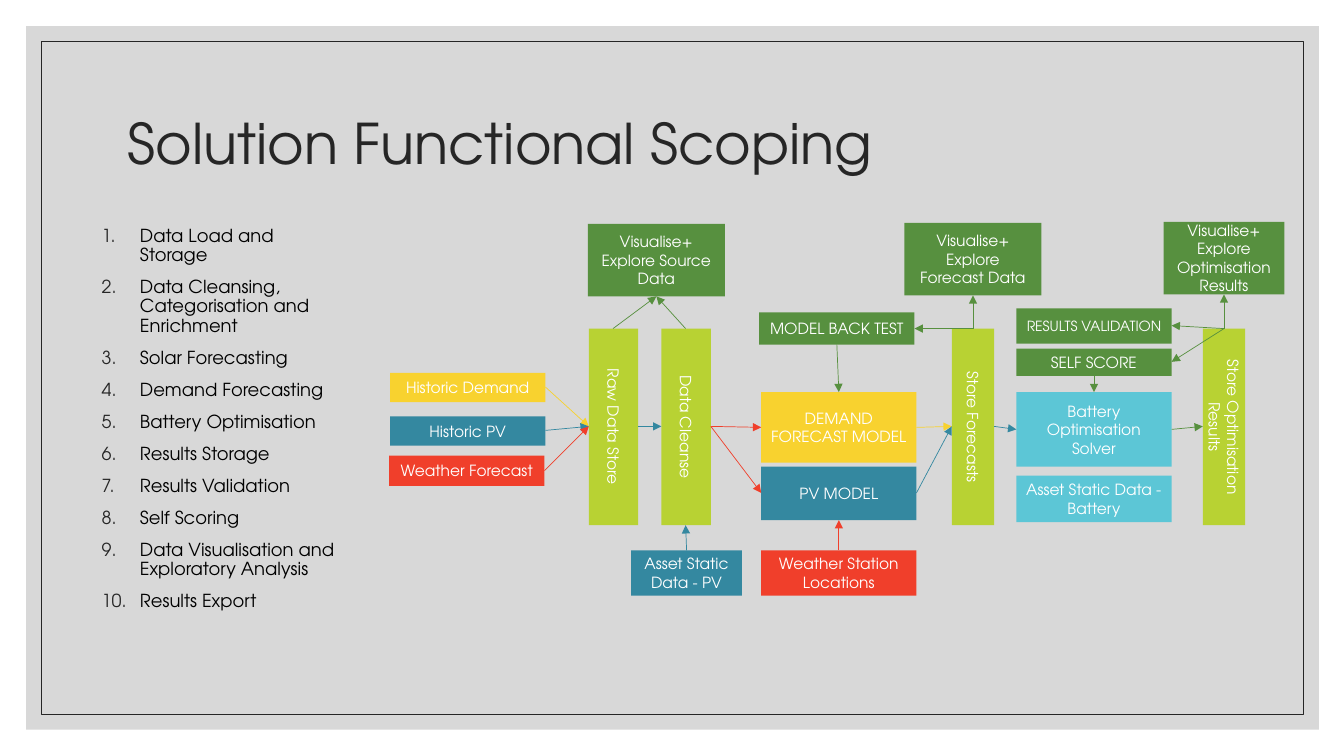
from dataclasses import dataclass
from enum import IntEnum

from lxml.etree import SubElement
from pptx import Presentation
from pptx.dml.color import RGBColor
from pptx.enum.shapes import MSO_CONNECTOR, MSO_SHAPE
from pptx.enum.text import MSO_ANCHOR, PP_ALIGN
from pptx.oxml.ns import qn
from pptx.util import Emu, Pt

EMU_PER_PX = 9144  # 100 px to the inch
FONT = "TeX Gyre Adventor"

WHITE = RGBColor(0xFF, 0xFF, 0xFF)
BLACK = RGBColor(0x00, 0x00, 0x00)
INK = RGBColor(0x26, 0x26, 0x26)
GREY = RGBColor(0xBF, 0xBF, 0xBF)
YELLOW = RGBColor(0xF8, 0xD2, 0x2F)
BLUE = RGBColor(0x34, 0x88, 0xA0)
RED = RGBColor(0xF0, 0x3F, 0x2B)
CYAN = RGBColor(0x5C, 0xC6, 0xD6)
LIME = RGBColor(0xB8, 0xD2, 0x33)
GREEN = RGBColor(0x57, 0x90, 0x3F)


class Side(IntEnum):
    """Connection sites of a rectangle, counted anticlockwise."""
    TOP = 0
    LEFT = 1
    BOTTOM = 2
    RIGHT = 3


@dataclass(frozen=True)
class Block:
    """A labelled box as it is seen; an upright one has its text turned by 90 degrees."""
    label: str
    left: int
    top: int
    width: int
    height: int
    color: RGBColor
    upright: bool = False
    size: int = 11

    def point(self, side: Side) -> tuple[int, int]:
        middle_x = self.left + self.width // 2
        middle_y = self.top + self.height // 2
        return {
            Side.TOP: (middle_x, self.top),
            Side.LEFT: (self.left, middle_y),
            Side.BOTTOM: (middle_x, self.top + self.height),
            Side.RIGHT: (self.left + self.width, middle_y),
        }[side]

    def site(self, side: Side) -> int:
        return (side + 1) % 4 if self.upright else int(side)


@dataclass(frozen=True)
class Flow:
    source: Block
    source_side: Side
    target: Block
    target_side: Side
    color: RGBColor


SCOPE = (
    "Data Load and Storage",
    "Data Cleansing, Categorisation and Enrichment",
    "Solar Forecasting",
    "Demand Forecasting",
    "Battery Optimisation",
    "Results Storage",
    "Results Validation",
    "Self Scoring",
    "Data Visualisation and Exploratory Analysis",
    "Results Export",
)

HISTORIC_DEMAND = Block("Historic Demand", 387, 370, 154, 29, YELLOW)
HISTORIC_PV = Block("Historic PV", 387, 413, 154, 29, BLUE)
WEATHER = Block("Weather Forecast", 386, 452, 154, 30, RED)
RAW_STORE = Block("Raw Data Store", 584, 326, 49, 195, LIME, upright=True)
CLEANSE = Block("Data Cleanse", 656, 326, 49, 195, LIME, upright=True)
PV_ASSETS = Block("Asset Static Data - PV", 626, 546, 110, 45, BLUE)
VIEW_SOURCE = Block("Visualise+ Explore Source Data", 583, 222, 136, 72, GREEN)
BACK_TEST = Block("MODEL BACK TEST", 753, 310, 154, 32, GREEN)
DEMAND_MODEL = Block("DEMAND FORECAST MODEL", 755, 389, 154, 70, YELLOW)
PV_MODEL = Block("PV MODEL", 755, 463, 154, 53, BLUE)
STATIONS = Block("Weather Station Locations", 755, 546, 154, 45, RED)
FORECASTS = Block("Store Forecasts", 944, 326, 42, 195, LIME, upright=True)
VIEW_FORECAST = Block("Visualise+ Explore Forecast Data", 897, 221, 136, 72, GREEN)
VALIDATION = Block("RESULTS VALIDATION", 1008, 306, 154, 35, GREEN, size=10)
SELF_SCORE = Block("SELF SCORE", 1008, 346, 154, 27, GREEN)
SOLVER = Block("Battery Optimisation Solver", 1008, 389, 154, 74, CYAN)
BATTERY_ASSETS = Block("Asset Static Data - Battery", 1008, 472, 154, 46, CYAN)
RESULTS = Block("Store Optimisation Results", 1193, 326, 42, 195, LIME, upright=True)
VIEW_RESULTS = Block("Visualise+ Explore Optimisation Results", 1154, 220, 120, 72, GREEN)

BLOCKS = (
    HISTORIC_DEMAND, HISTORIC_PV, WEATHER, RAW_STORE, CLEANSE, PV_ASSETS, VIEW_SOURCE,
    BACK_TEST, DEMAND_MODEL, PV_MODEL, STATIONS, FORECASTS, VIEW_FORECAST,
    VALIDATION, SELF_SCORE, SOLVER, BATTERY_ASSETS, RESULTS, VIEW_RESULTS,
)

FLOWS = (
    Flow(HISTORIC_DEMAND, Side.RIGHT, RAW_STORE, Side.LEFT, YELLOW),
    Flow(HISTORIC_PV, Side.RIGHT, RAW_STORE, Side.LEFT, BLUE),
    Flow(WEATHER, Side.RIGHT, RAW_STORE, Side.LEFT, RED),
    Flow(RAW_STORE, Side.RIGHT, CLEANSE, Side.LEFT, BLUE),
    Flow(RAW_STORE, Side.TOP, VIEW_SOURCE, Side.BOTTOM, GREEN),
    Flow(CLEANSE, Side.TOP, VIEW_SOURCE, Side.BOTTOM, GREEN),
    Flow(PV_ASSETS, Side.TOP, CLEANSE, Side.BOTTOM, BLUE),
    Flow(CLEANSE, Side.RIGHT, DEMAND_MODEL, Side.LEFT, RED),
    Flow(CLEANSE, Side.RIGHT, PV_MODEL, Side.LEFT, RED),
    Flow(STATIONS, Side.TOP, PV_MODEL, Side.BOTTOM, RED),
    Flow(BACK_TEST, Side.BOTTOM, DEMAND_MODEL, Side.TOP, GREEN),
    Flow(DEMAND_MODEL, Side.RIGHT, FORECASTS, Side.LEFT, YELLOW),
    Flow(PV_MODEL, Side.RIGHT, FORECASTS, Side.LEFT, BLUE),
    Flow(FORECASTS, Side.TOP, VIEW_FORECAST, Side.BOTTOM, GREEN),
    Flow(FORECASTS, Side.TOP, BACK_TEST, Side.RIGHT, GREEN),
    Flow(FORECASTS, Side.RIGHT, SOLVER, Side.LEFT, BLUE),
    Flow(SELF_SCORE, Side.BOTTOM, SOLVER, Side.TOP, GREEN),
    Flow(SOLVER, Side.RIGHT, RESULTS, Side.LEFT, GREEN),
    Flow(RESULTS, Side.TOP, SELF_SCORE, Side.RIGHT, GREEN),
    Flow(RESULTS, Side.TOP, VALIDATION, Side.RIGHT, GREEN),
    Flow(RESULTS, Side.TOP, VIEW_RESULTS, Side.BOTTOM, GREEN),
)


def px(*lengths: float) -> list[Emu]:
    return [Emu(round(length * EMU_PER_PX)) for length in lengths]


def add_run(paragraph, text: str, size: float, color: RGBColor) -> None:
    run = paragraph.add_run()
    run.text = text
    run.font.name = FONT
    run.font.size = Pt(size)
    run.font.color.rgb = color


def add_rectangle(slide, left: float, top: float, width: int, height: int):
    shape = slide.shapes.add_shape(MSO_SHAPE.RECTANGLE, *px(left, top, width, height))
    shape.shadow.inherit = False
    return shape


def add_frame(slide) -> None:
    panel = add_rectangle(slide, 26, 26, 1282, 698)
    panel.fill.solid()
    panel.fill.fore_color.rgb = GREY
    panel.line.fill.background()
    tint = panel.fill._xPr.find(qn("a:solidFill"))[0]
    SubElement(tint, qn("a:alpha"), val="60000")
    border = add_rectangle(slide, 41, 41, 1252, 668)
    border.fill.background()
    border.line.color.rgb = INK
    border.line.width = Pt(0.5)


def add_title(slide) -> None:
    frame = slide.shapes.add_textbox(*px(117, 70, 1100, 150)).text_frame
    frame.word_wrap = True
    frame.vertical_anchor = MSO_ANCHOR.MIDDLE
    frame.paragraphs[0].line_spacing = 0.9
    add_run(frame.paragraphs[0], "Solution Functional Scoping", 40, INK)


def add_scope_list(slide) -> None:
    frame = slide.shapes.add_textbox(*px(91, 220, 261, 421)).text_frame
    frame.word_wrap = True
    for index, item in enumerate(SCOPE):
        paragraph = frame.add_paragraph() if index else frame.paragraphs[0]
        paragraph.line_spacing = 0.9
        paragraph.space_before = Pt(9 if index else 0)
        properties = paragraph._p.get_or_add_pPr()
        indent = px(38)[0]
        properties.set("marL", str(indent))
        properties.set("indent", str(-indent))
        bullet_color = SubElement(properties, qn("a:buClr"))
        SubElement(bullet_color, qn("a:srgbClr"), val=str(INK))
        SubElement(properties, qn("a:buAutoNum"), type="arabicPeriod")
        add_run(paragraph, item, 12.8, BLACK)


def add_block(slide, block: Block):
    left, top, width, height = block.left, block.top, block.width, block.height
    if block.upright:
        left, top = left + (width - height) / 2, top + (height - width) / 2
        width, height = height, width
    shape = add_rectangle(slide, left, top, width, height)
    shape.rotation = 90 if block.upright else 0
    shape.fill.solid()
    shape.fill.fore_color.rgb = block.color
    shape.line.fill.background()
    frame = shape.text_frame
    frame.word_wrap = True
    frame.vertical_anchor = MSO_ANCHOR.MIDDLE
    frame.paragraphs[0].alignment = PP_ALIGN.CENTER
    add_run(frame.paragraphs[0], block.label, block.size, WHITE)
    return shape


def add_flow(slide, flow: Flow, shapes: dict) -> None:
    """Glue an arrow to both blocks, then place its ends on the sides as seen."""
    start, end = flow.source.point(flow.source_side), flow.target.point(flow.target_side)
    arrow = slide.shapes.add_connector(MSO_CONNECTOR.STRAIGHT, *px(*start, *end))
    arrow.begin_connect(shapes[flow.source], flow.source.site(flow.source_side))
    arrow.end_connect(shapes[flow.target], flow.target.site(flow.target_side))
    arrow.begin_x, arrow.begin_y = px(*start)
    arrow.end_x, arrow.end_y = px(*end)
    arrow.line.color.rgb = flow.color
    arrow.line.width = Pt(0.5)
    SubElement(arrow.line._get_or_add_ln(), qn("a:tailEnd"), type="triangle")
    SubElement(arrow._element.spPr, qn("a:effectLst"))


def main() -> None:
    deck = Presentation()
    deck.slide_width, deck.slide_height = px(1333, 750)
    slide = deck.slides.add_slide(deck.slide_layouts[6])
    add_frame(slide)
    add_title(slide)
    add_scope_list(slide)
    shapes = {block: add_block(slide, block) for block in BLOCKS}
    for flow in FLOWS:
        add_flow(slide, flow, shapes)
    deck.save("out.pptx")


if __name__ == "__main__":
    main()
